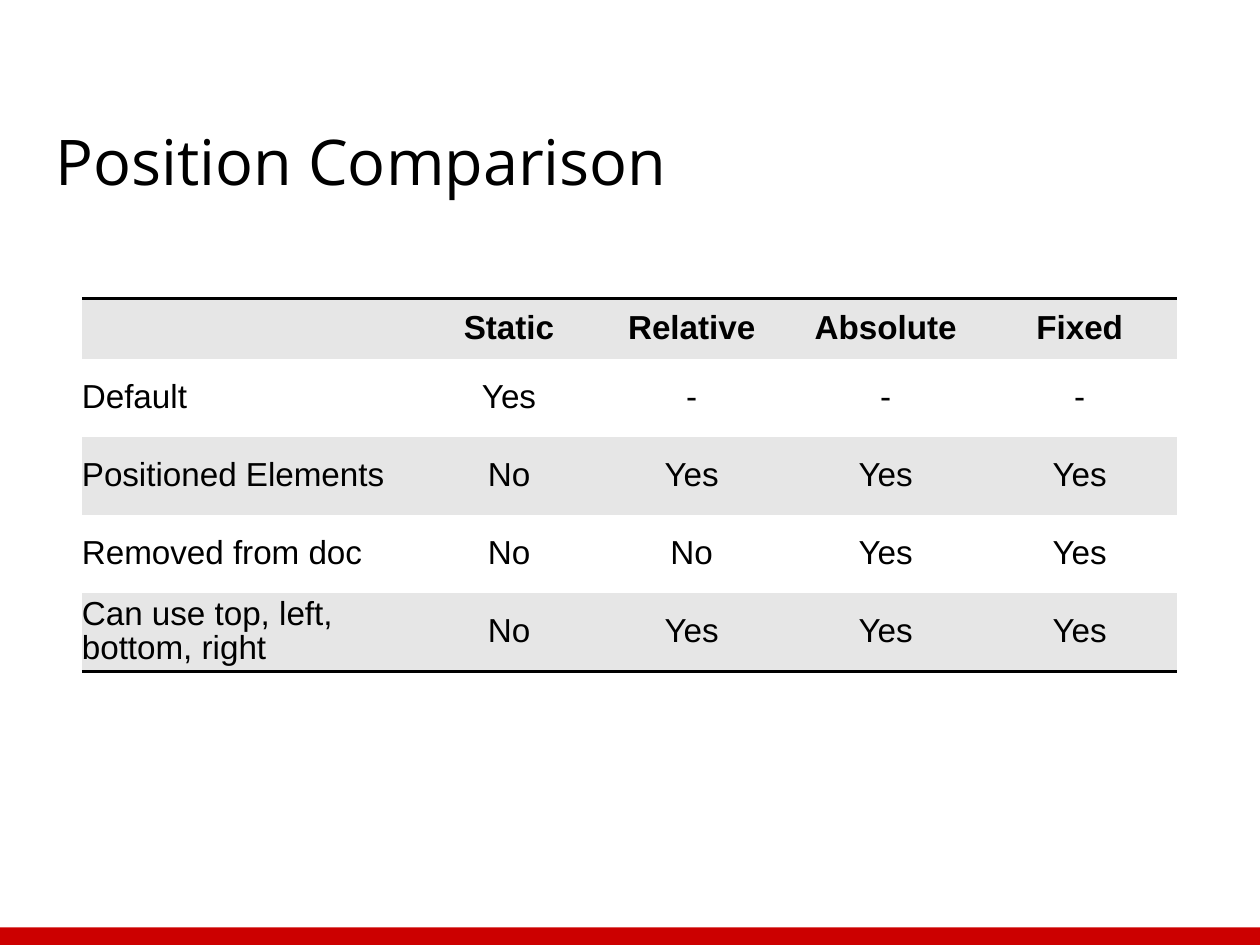
"""Builds a slide with a table comparing the CSS position values."""
from lxml import etree
from pptx import Presentation, util as u
from pptx.dml.color import RGBColor
from pptx.enum import shapes, text
from pptx.oxml import ns

COLORS = {"ink": "000000", "band": "E6E6E6", "plain": "FFFFFF", "accent": "CC0000"}
NO_STYLE = "{2D5ABB26-0587-4C30-8999-92F81FD0307C}"
COLUMNS = [2.71] + [1.36] + [1.54] * 3
ROWS = [0.48] + [0.62] * 4
COMPARISON = [
    ["", "Static", "Relative", "Absolute", "Fixed"],
    ["Default", "Yes", "-", "-", "-"],
    ["Positioned Elements", "No", "Yes", "Yes", "Yes"],
    ["Removed from doc", "No", "No", "Yes", "Yes"],
    ["Can use top, left, bottom, right", "No", "Yes", "Yes", "Yes"],
]


def add_run(paragraph, words, font, size, bold=False):
    run = paragraph.add_run()
    run.text = words
    run.font.name, run.font.size, run.font.bold = font, u.Pt(size), bold
    run.font.color.rgb = RGBColor.from_string(COLORS["ink"])


def add_border(cell, side):
    line = etree.Element(ns.qn(f"a:{side}"), w=str(u.Pt(2)))
    fill = etree.SubElement(line, ns.qn("a:solidFill"))
    etree.SubElement(fill, ns.qn("a:srgbClr"), val=COLORS["ink"])
    cell._tc.get_or_add_tcPr().insert(0, line)


deck = Presentation()
deck.slide_width, deck.slide_height = u.Inches(10), u.Inches(7.5)
slide = deck.slides.add_slide(deck.slide_layouts[6])

footer_height = u.Inches(0.14)
footer = slide.shapes.add_shape(
    shapes.MSO_SHAPE.RECTANGLE, 0, deck.slide_height - footer_height,
    deck.slide_width, footer_height)
footer.shadow.inherit = False
footer.fill.solid()
footer.fill.fore_color.rgb = RGBColor.from_string(COLORS["accent"])
footer.line.fill.background()

title = slide.shapes.add_textbox(
    u.Inches(0.34), u.Inches(0.46), u.Inches(9.32), u.Inches(1.21)).text_frame
title.word_wrap = True
title.vertical_anchor = text.MSO_ANCHOR.BOTTOM
title.margin_left = title.margin_right = u.Inches(0.1)
title.margin_top = title.margin_bottom = u.Inches(0.1)
add_run(title.paragraphs[0], "Position Comparison", "Open Sans", 36)

comparison = slide.shapes.add_table(
    len(ROWS), len(COLUMNS), u.Inches(0.65), u.Inches(2.37),
    u.Inches(sum(COLUMNS)), u.Inches(sum(ROWS))).table
comparison.horz_banding = False
comparison._tbl.tblPr.find(ns.qn("a:tableStyleId")).text = NO_STYLE
for column, width in zip(comparison.columns, COLUMNS):
    column.width = u.Inches(width)

for r, (height, entries) in enumerate(zip(ROWS, COMPARISON)):
    comparison.rows[r].height = u.Inches(height)
    for c, entry in enumerate(entries):
        cell = comparison.cell(r, c)
        cell.margin_left = cell.margin_right = 0
        cell.margin_top = cell.margin_bottom = 0
        cell.vertical_anchor = text.MSO_ANCHOR.MIDDLE
        cell.fill.solid()
        cell.fill.fore_color.rgb = RGBColor.from_string(
            COLORS["plain" if r % 2 else "band"])
        paragraph = cell.text_frame.paragraphs[0]
        paragraph.line_spacing = 0.93
        paragraph.alignment = text.PP_ALIGN.CENTER if c else text.PP_ALIGN.LEFT
        if entry:
            add_run(paragraph, entry, "Arial", 19, bold=r == 0)
        if r == 0:
            add_border(cell, "lnT")
        if r == len(ROWS) - 1:
            add_border(cell, "lnB")

deck.save("out.pptx")
